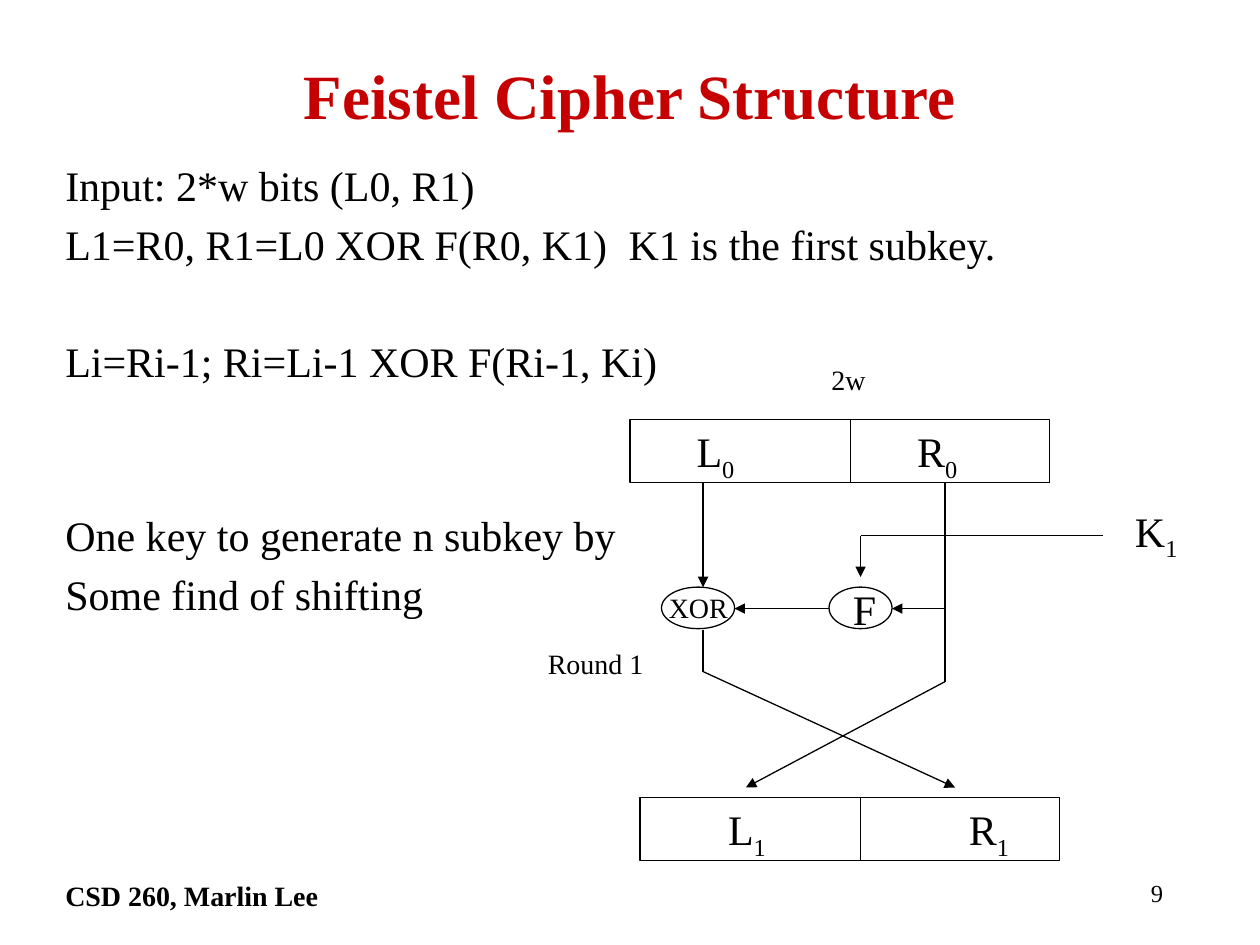
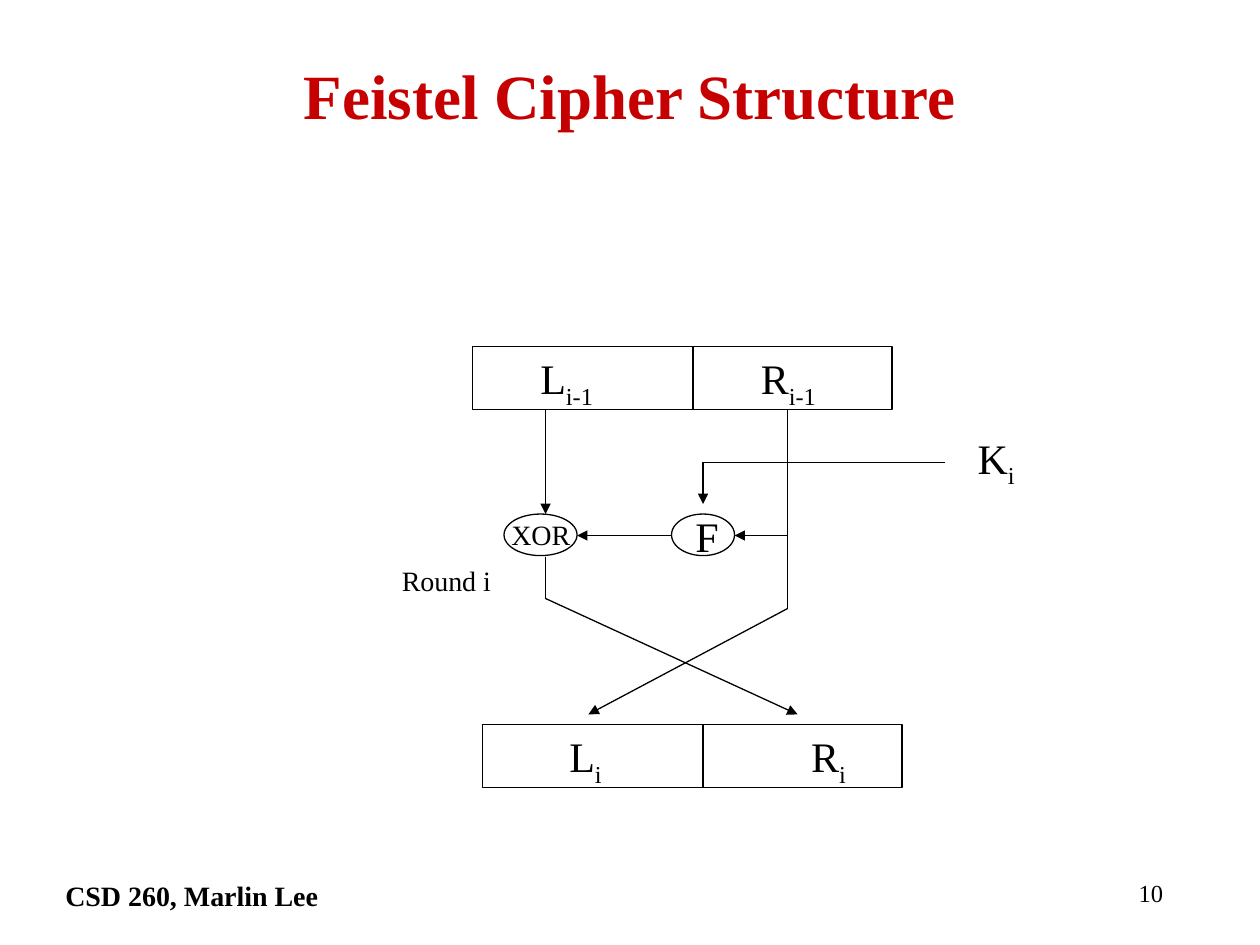
"""Build two slides that show one round of the Feistel cipher structure."""
from lxml import etree
from pptx import Presentation
from pptx.dml.color import RGBColor
from pptx.enum.shapes import MSO_CONNECTOR, MSO_SHAPE
from pptx.enum.text import MSO_ANCHOR, MSO_AUTO_SIZE, PP_ALIGN
from pptx.oxml.ns import qn
from pptx.util import Inches, Pt

STRAIGHT = MSO_CONNECTOR.STRAIGHT
RECTANGLE, OVAL = MSO_SHAPE.RECTANGLE, MSO_SHAPE.OVAL
MIDDLE = MSO_ANCHOR.MIDDLE
GROW = MSO_AUTO_SIZE.SHAPE_TO_FIT_TEXT
LEFT, CENTER, RIGHT = PP_ALIGN.LEFT, PP_ALIGN.CENTER, PP_ALIGN.RIGHT
FONT, BLACK, RED = "Times New Roman", "000000", "C60000"


def color(target, value):
    """Set a colour from a hex string."""
    target.rgb = RGBColor.from_string(value)


def write(para, text, size, bold=False, ink=BLACK, subscript=False):
    """Add one formatted run to a paragraph."""
    span = para.add_run()
    span.text = text
    span.font.name, span.font.size, span.font.bold = FONT, Pt(size), bold
    color(span.font.color, ink)
    if subscript:
        span.font._element.set("baseline", "-25000")


INTRO = [
    ("Input: 2*w bits (L0, R1)", 0),
    ("L1=R0, R1=L0 XOR F(R0, K1)\tK1 is the first subkey.", 6),
    ("Li=Ri-1; Ri=Li-1 XOR F(Ri-1, Ki)", 39.3),
    ("One key to generate n subkey by", 72.6),
    ("Some find of shifting", 6),
]
OUTLINES = [
    (RECTANGLE, 0, 0, 3.33, 0.5),
    (RECTANGLE, 0.08, 3, 3.33, 0.5),
    (OVAL, 0.25, 1.33, 0.58, 0.33),
    (OVAL, 1.58, 1.33, 0.5, 0.33),
]
WIRES = [
    (1.75, 0, 1.75, 0.5, False),
    (1.83, 3, 1.83, 3.5, False),
    (2.5, 0.5, 2.5, 2.08, False),
    (2.5, 2.08, 0.92, 2.92, True),
    (2.5, 1.5, 2.08, 1.5, True),
    (1.58, 1.5, 0.83, 1.5, True),
    (3.75, 0.92, 1.83, 0.92, False),
    (1.83, 0.92, 1.83, 1.25, True),
    (0.58, 0.5, 0.58, 1.33, True),
    (0.58, 1.67, 0.58, 2, False),
    (0.58, 2, 2.58, 2.92, True),
]
COMMON_LABELS = [
    ("F", "", 24, 1.67, 1.25, 0.38, 0.5),
    ("XOR", "", 16, 0.21, 1.31, 0.67, 0.37),
]
ROUNDS = [
    (9, 5, 3.33, INTRO, [
        ("L", "0", 24, 0.43, 0, 0.5, 0.56),
        ("R", "0", 24, 2.18, 0, 0.52, 0.56),
        ("L", "1", 24, 0.68, 3, 0.5, 0.56),
        ("R", "1", 24, 2.59, 3, 0.52, 0.56),
        ("K", "1", 24, 3.91, 0.63, 0.54, 0.56),
        ("2w", "", 16, 1.5, -0.5, 0.47, 0.37),
        ("Round 1", "", 16, -0.75, 1.75, 1, 0.37),
    ]),
    (10, 3.75, 2.75, [], [
        ("L", "i-1", 24, 0.44, 0, 0.64, 0.56),
        ("R", "i-1", 24, 2.19, 0, 0.66, 0.56),
        ("L", "i", 24, 0.67, 3, 0.48, 0.56),
        ("R", "i", 24, 2.59, 3, 0.5, 0.56),
        ("K", "i", 24, 3.91, 0.63, 0.52, 0.56),
        ("Round i", "", 16, -0.66, 1.67, 0.92, 0.37),
    ]),
]

deck = Presentation()
deck.slide_width, deck.slide_height = Inches(10), Inches(7.5)

for number, left, top, intro, round_labels in ROUNDS:
    page = deck.slides.add_slide(deck.slide_layouts[5])
    title = page.shapes.title
    title.left, title.top = Inches(0.75), Inches(0.33)
    title.width, title.height = Inches(8.5), Inches(0.83)
    title.text_frame.vertical_anchor = MIDDLE
    para = title.text_frame.paragraphs[0]
    para.alignment = CENTER
    write(para, "Feistel Cipher Structure", 36, True, RED)

    footers = [("CSD 260, Marlin Lee", 0.42, 6.33, 16, True, LEFT),
               (str(number), 7.25, 2.08, 14, False, RIGHT)]
    for text, x, width, size, bold, alignment in footers:
        box = page.shapes.add_textbox(Inches(x), Inches(6.92), Inches(width), Inches(0.42))
        box.text_frame.word_wrap = True
        para = box.text_frame.paragraphs[0]
        para.alignment = alignment
        write(para, text, size, bold)

    if intro:
        box = page.shapes.add_textbox(Inches(0.42), Inches(1.25), Inches(9), Inches(4.95))
        frame = box.text_frame
        frame.word_wrap = True
        for index, (text, gap) in enumerate(intro):
            para = frame.add_paragraph() if index else frame.paragraphs[0]
            if "\t" in text:
                stops = etree.SubElement(para._p.get_or_add_pPr(), qn("a:tabLst"))
                etree.SubElement(stops, qn("a:tab"), pos=str(Inches(4.47)), algn="l")
            para.line_spacing, para.space_before = 0.95, Pt(gap)
            write(para, text, 24)

    diagram = page.shapes.add_group_shape().shapes
    for kind, x, y, width, height in OUTLINES:
        shape = diagram.add_shape(kind, Inches(left + x), Inches(top + y),
                                  Inches(width), Inches(height))
        shape.shadow.inherit = False
        shape.fill.background()
        color(shape.line.color, BLACK)
        shape.line.width = Pt(0.75)

    for x1, y1, x2, y2, arrow in WIRES:
        wire = diagram.add_connector(STRAIGHT, Inches(left + x1), Inches(top + y1),
                                     Inches(left + x2), Inches(top + y2))
        color(wire.line.color, BLACK)
        wire.line.width = Pt(0.75)
        if arrow:
            etree.SubElement(wire.line._get_or_add_ln(), qn("a:tailEnd"), type="triangle")
        etree.SubElement(wire._element.spPr, qn("a:effectLst"))

    for text, below, size, x, y, width, height in COMMON_LABELS + round_labels:
        box = diagram.add_textbox(Inches(left + x), Inches(top + y),
                                  Inches(width), Inches(height))
        box.text_frame.word_wrap = False
        box.text_frame.auto_size = GROW
        para = box.text_frame.paragraphs[0]
        write(para, text, size)
        if below:
            write(para, below, size, subscript=True)

deck.save("out.pptx")
